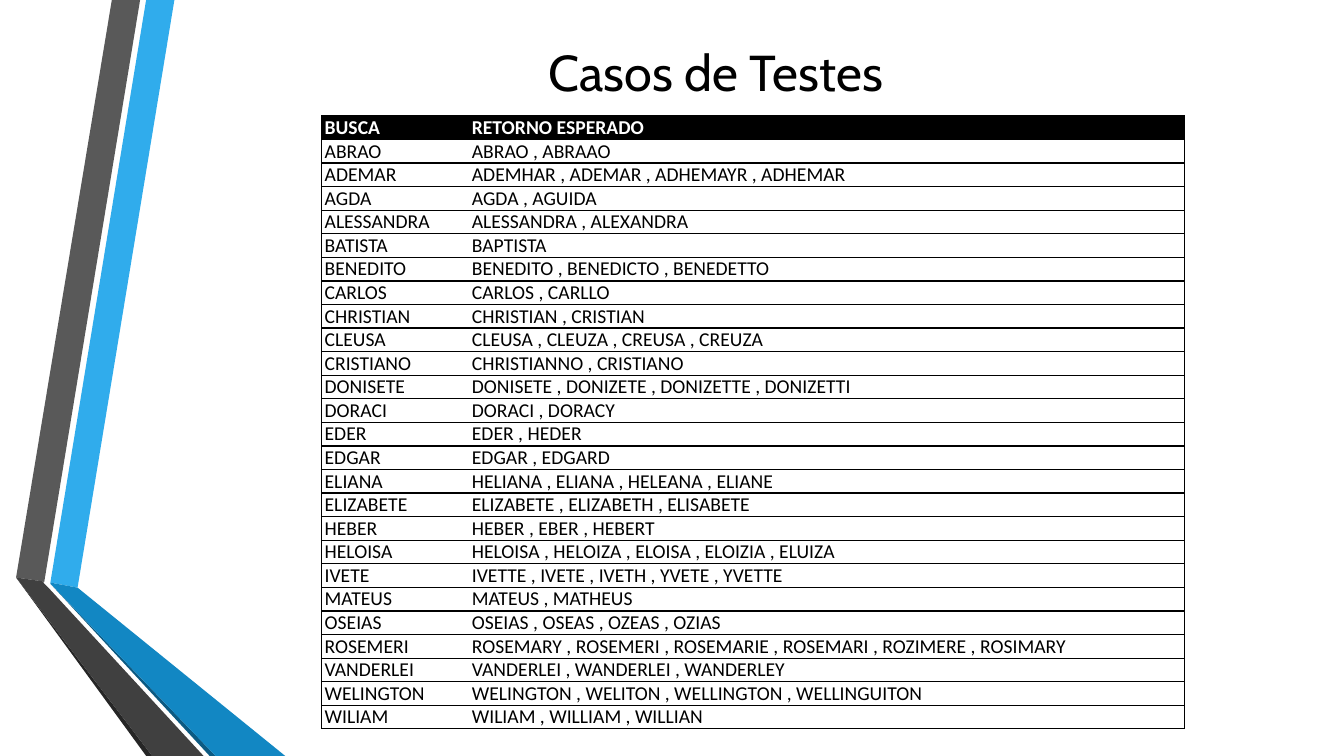
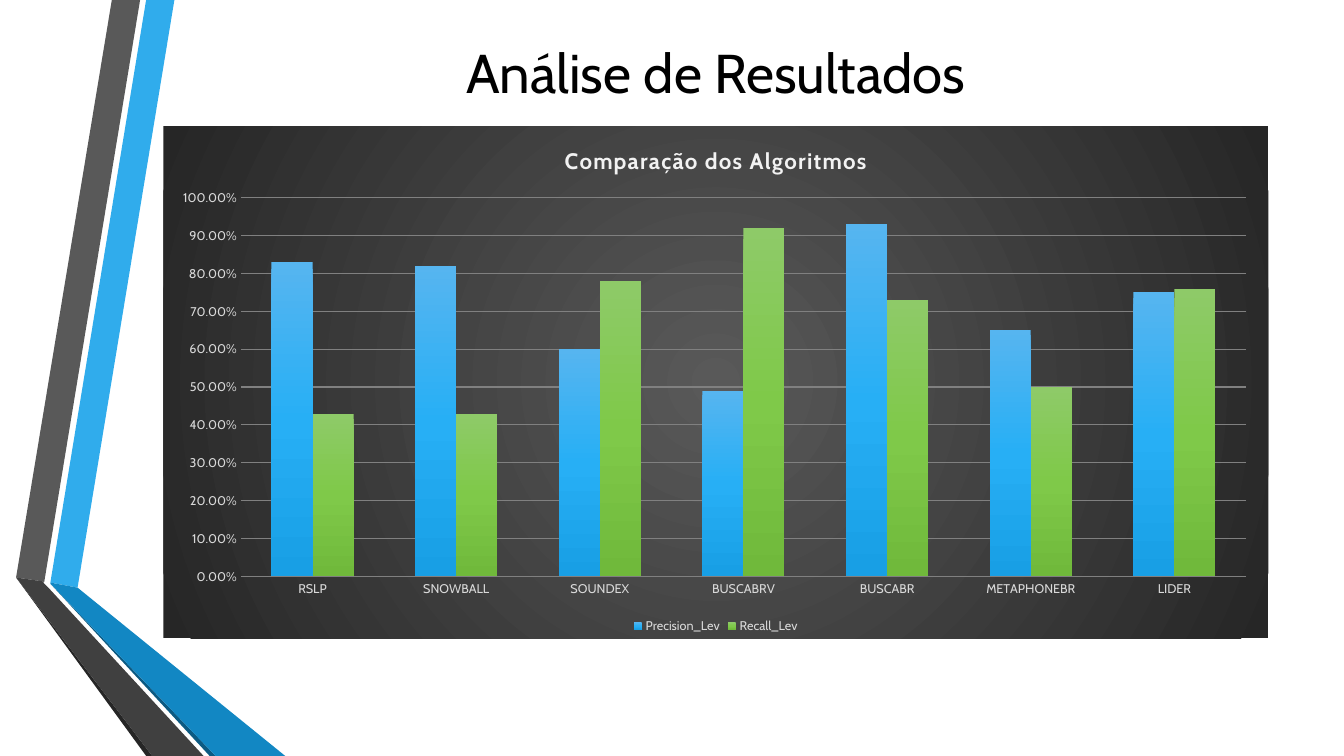
from lxml import etree
from pptx import Presentation
from pptx.chart.data import CategoryChartData
from pptx.dml.color import RGBColor
from pptx.enum.chart import XL_CHART_TYPE, XL_LEGEND_POSITION, XL_TICK_MARK
from pptx.enum.text import MSO_ANCHOR, PP_ALIGN
from pptx.oxml import parse_xml
from pptx.oxml.ns import nsdecls, qn
from pptx.util import Inches, Pt

COLORS = {
    "black": "000000", "white": "FFFFFF",
    "sky": "30ACEC", "blue": "1287C3", "navy": "0C5A82",
    "gray": "595959", "dark": "404040", "shadow": "262626",
    "label": "D9D9D9", "heading": "F2F2F2", "grid": "808080",
}
TITLE_FONT = "Cabin"
TABLE_FONT = "Calibri"
PLAIN_TABLE_STYLE = "{2D5ABB26-0587-4C30-8999-92F81FD0307C}"

BANDS = [
    ("sky", [(0.5, 5.78), (0.77, 5.83), (1.73, 0), (1.45, 0)]),
    ("gray", [(1.39, 0), (1.11, 0), (0.16, 5.73), (0.44, 5.77)]),
    ("shadow", [(0.16, 5.73), (1.45, 7.5), (1.51, 7.5)]),
    ("navy", [(0.5, 5.79), (2.08, 7.5), (2.14, 7.5)]),
    ("blue", [(0.5, 5.79), (2.14, 7.5), (2.83, 7.5), (0.77, 5.83), (0.5, 5.78)]),
    ("dark", [(2.02, 7.5), (0.48, 5.83), (0.43, 5.78), (0.44, 5.77),
              (0.16, 5.73), (1.51, 7.5)]),
]

TEST_CASES = [
    ("BUSCA", "RETORNO ESPERADO"),
    ("ABRAO", "ABRAO , ABRAAO"),
    ("ADEMAR", "ADEMHAR , ADEMAR , ADHEMAYR , ADHEMAR"),
    ("AGDA", "AGDA , AGUIDA"),
    ("ALESSANDRA", "ALESSANDRA , ALEXANDRA"),
    ("BATISTA", "BAPTISTA"),
    ("BENEDITO", "BENEDITO , BENEDICTO , BENEDETTO"),
    ("CARLOS", "CARLOS , CARLLO"),
    ("CHRISTIAN", "CHRISTIAN , CRISTIAN"),
    ("CLEUSA", "CLEUSA , CLEUZA , CREUSA , CREUZA"),
    ("CRISTIANO", "CHRISTIANNO , CRISTIANO"),
    ("DONISETE", "DONISETE , DONIZETE , DONIZETTE , DONIZETTI"),
    ("DORACI", "DORACI , DORACY"),
    ("EDER", "EDER , HEDER"),
    ("EDGAR", "EDGAR , EDGARD"),
    ("ELIANA", "HELIANA , ELIANA , HELEANA , ELIANE"),
    ("ELIZABETE", "ELIZABETE , ELIZABETH , ELISABETE"),
    ("HEBER", "HEBER , EBER , HEBERT"),
    ("HELOISA", "HELOISA , HELOIZA , ELOISA , ELOIZIA , ELUIZA"),
    ("IVETE", "IVETTE , IVETE , IVETH , YVETE , YVETTE"),
    ("MATEUS", "MATEUS , MATHEUS"),
    ("OSEIAS", "OSEIAS , OSEAS , OZEAS , OZIAS"),
    ("ROSEMERI", "ROSEMARY , ROSEMERI , ROSEMARIE , ROSEMARI , ROZIMERE , ROSIMARY"),
    ("VANDERLEI", "VANDERLEI , WANDERLEI , WANDERLEY"),
    ("WELINGTON", "WELINGTON , WELITON , WELLINGTON , WELLINGUITON"),
    ("WILIAM", "WILIAM , WILLIAM , WILLIAN"),
]

ALGORITHMS = ["RSLP", "SNOWBALL", "SOUNDEX", "BUSCABRV", "BUSCABR",
              "METAPHONEBR", "LIDER"]
RESULTS = [
    ("Precision_Lev", [0.83, 0.82, 0.6, 0.49, 0.93, 0.65, 0.75],
     ["56B5F0", "27AFF5", "189FE5"]),
    ("Recall_Lev", [0.43, 0.43, 0.78, 0.92, 0.73, 0.5, 0.76],
     ["8ECA68", "7FC949", "70B93B"]),
]


def rgb(name):
    return RGBColor.from_string(COLORS[name])


def set_font(font, name, size, color, bold=False):
    font.name = name
    font.size = Pt(size)
    font.bold = bold
    font.color.rgb = rgb(color)


def add_band(slide, color, points):
    (x, y), *rest = [(Inches(px), Inches(py)) for px, py in points]
    builder = slide.shapes.build_freeform(x, y)
    builder.add_line_segments(rest, close=True)
    sp = builder.convert_to_shape()
    sp.shadow.inherit = False
    sp.fill.solid()
    sp.fill.fore_color.rgb = rgb(color)
    sp.line.fill.background()


def add_title(slide, text, size):
    sp = slide.shapes.add_textbox(Inches(1.62), Inches(0.36), Inches(10.96), Inches(0.7))
    tf = sp.text_frame
    tf.word_wrap = True
    tf.vertical_anchor = MSO_ANCHOR.MIDDLE
    p = tf.paragraphs[0]
    p.text = text
    p.alignment = PP_ALIGN.CENTER
    set_font(p.font, TITLE_FONT, size, "black")


def add_slide(prs, title, size):
    s = prs.slides.add_slide(prs.slide_layouts[6])
    s.background.fill.solid()
    s.background.fill.fore_color.rgb = rgb("white")
    for color, points in BANDS:
        add_band(s, color, points)
    add_title(s, title, size)
    return s


def set_borders(cell, sides):
    tcPr = cell._tc.get_or_add_tcPr()
    for i, side in enumerate(sides):
        tcPr.insert(i, parse_xml(
            f'<a:ln{side} {nsdecls("a")} w="12700"><a:solidFill>'
            f'<a:srgbClr val="{COLORS["black"]}"/></a:solidFill></a:ln{side}>'))


def fill_cell(cell, text, header, sides):
    cell.margin_left = cell.margin_right = Inches(0.03)
    cell.margin_top = cell.margin_bottom = 0
    cell.vertical_anchor = MSO_ANCHOR.BOTTOM
    if header:
        cell.fill.solid()
        cell.fill.fore_color.rgb = rgb("black")
    else:
        cell.fill.background()
    set_borders(cell, sides)
    p = cell.text_frame.paragraphs[0]
    p.text = text
    set_font(p.font, TABLE_FONT, 14, "white" if header else "black", header)


def add_case_table(slide, rows):
    row_height = Inches(0.23)
    frame = slide.shapes.add_table(len(rows), 2, Inches(3.19), Inches(1.15),
                                   Inches(8.56), row_height * len(rows))
    table = frame.table
    table.horz_banding = False
    table._tbl.tblPr.find(qn("a:tableStyleId")).text = PLAIN_TABLE_STYLE
    for column, width in zip(table.columns, (1.46, 7.1)):
        column.width = Inches(width)
    for i, row in enumerate(rows):
        table.rows[i].height = row_height
        for j, text in enumerate(row):
            fill_cell(table.cell(i, j), text, i == 0, ("LTB", "RTB")[j])


def gradient(colors, direction):
    step = 100000 // (len(colors) - 1)
    stops = "".join(f'<a:gs pos="{i * step}"><a:srgbClr val="{c}"/></a:gs>'
                    for i, c in enumerate(colors))
    return parse_xml(f'<a:gradFill {nsdecls("a")} rotWithShape="1">'
                     f'<a:gsLst>{stops}</a:gsLst>{direction}</a:gradFill>')


def fill_chart_area(chart):
    center = ('<a:path path="circle"><a:fillToRect l="50000" t="50000" '
              'r="50000" b="50000"/></a:path>')
    spPr = parse_xml(f'<c:spPr {nsdecls("c", "a")}><a:ln><a:noFill/></a:ln></c:spPr>')
    spPr.insert(0, gradient([COLORS["gray"], COLORS["shadow"]], center))
    chart._chartSpace.find(qn("c:chart")).addnext(spPr)


def place_plot(chart, **box):
    plot_area = chart._chartSpace.find(qn("c:chart")).find(qn("c:plotArea"))
    for old in plot_area.findall(qn("c:layout")):
        plot_area.remove(old)
    layout = etree.Element(qn("c:layout"))
    manual = etree.SubElement(layout, qn("c:manualLayout"))
    settings = {"layoutTarget": "inner", "xMode": "edge", "yMode": "edge", **box}
    for tag, value in settings.items():
        etree.SubElement(manual, qn(f"c:{tag}")).set("val", str(value))
    plot_area.insert(0, layout)


def style_axis(axis):
    axis.major_tick_mark = axis.minor_tick_mark = XL_TICK_MARK.NONE
    axis.format.line.fill.background()
    set_font(axis.tick_labels.font, TITLE_FONT, 9, "label")


def style_value_axis(axis):
    style_axis(axis)
    axis.minimum_scale, axis.maximum_scale, axis.major_unit = 0, 1, 0.1
    axis.tick_labels.number_format = "0.00%"
    axis.tick_labels.number_format_is_linked = False
    line = axis.major_gridlines.format.line
    line.color.rgb = rgb("grid")
    line.width = Pt(0.75)


def style_chart_title(chart, text):
    chart.has_title = True
    chart.chart_title.include_in_layout = False
    p = chart.chart_title.text_frame.paragraphs[0]
    r = p.add_run()
    r.text = text
    set_font(r.font, TITLE_FONT, 16, "heading", True)
    r._r.get_or_add_rPr().set("spc", "100")


def add_result_chart(slide, title, categories, results):
    data = CategoryChartData(number_format="0.00%")
    data.categories = categories
    for name, values, _ in results:
        data.add_series(name, values)
    chart = slide.shapes.add_chart(
        XL_CHART_TYPE.COLUMN_CLUSTERED, Inches(1.62), Inches(1.25),
        Inches(10.96), Inches(5.08), data).chart
    set_font(chart.font, TITLE_FONT, 10, "black")
    fill_chart_area(chart)
    style_chart_title(chart, title)
    style_axis(chart.category_axis)
    style_value_axis(chart.value_axis)
    chart.has_legend = True
    chart.legend.position = XL_LEGEND_POSITION.BOTTOM
    chart.legend.include_in_layout = False
    set_font(chart.legend.font, TITLE_FONT, 9, "label")
    plot = chart.plots[0]
    plot.vary_by_categories = False
    plot.gap_width = 150
    plot.overlap = 0
    for series, (_, _, colors) in zip(plot.series, results):
        series.invert_if_negative = False
        series.format.fill.solid()
        spPr = series._element.find(qn("c:spPr"))
        spPr.replace(spPr.find(qn("a:solidFill")),
                     gradient(colors, '<a:lin ang="5400000" scaled="0"/>'))
    place_plot(chart, x=0.07, y=0.14, w=0.91, h=0.74)


def main():
    prs = Presentation()
    prs.slide_width = Inches(13.33)
    prs.slide_height = Inches(7.5)
    add_case_table(add_slide(prs, "Casos de Testes", 36), TEST_CASES)
    add_result_chart(add_slide(prs, "Análise de Resultados", 39),
                     "Comparação dos Algoritmos", ALGORITHMS, RESULTS)
    prs.save("out.pptx")


main()
